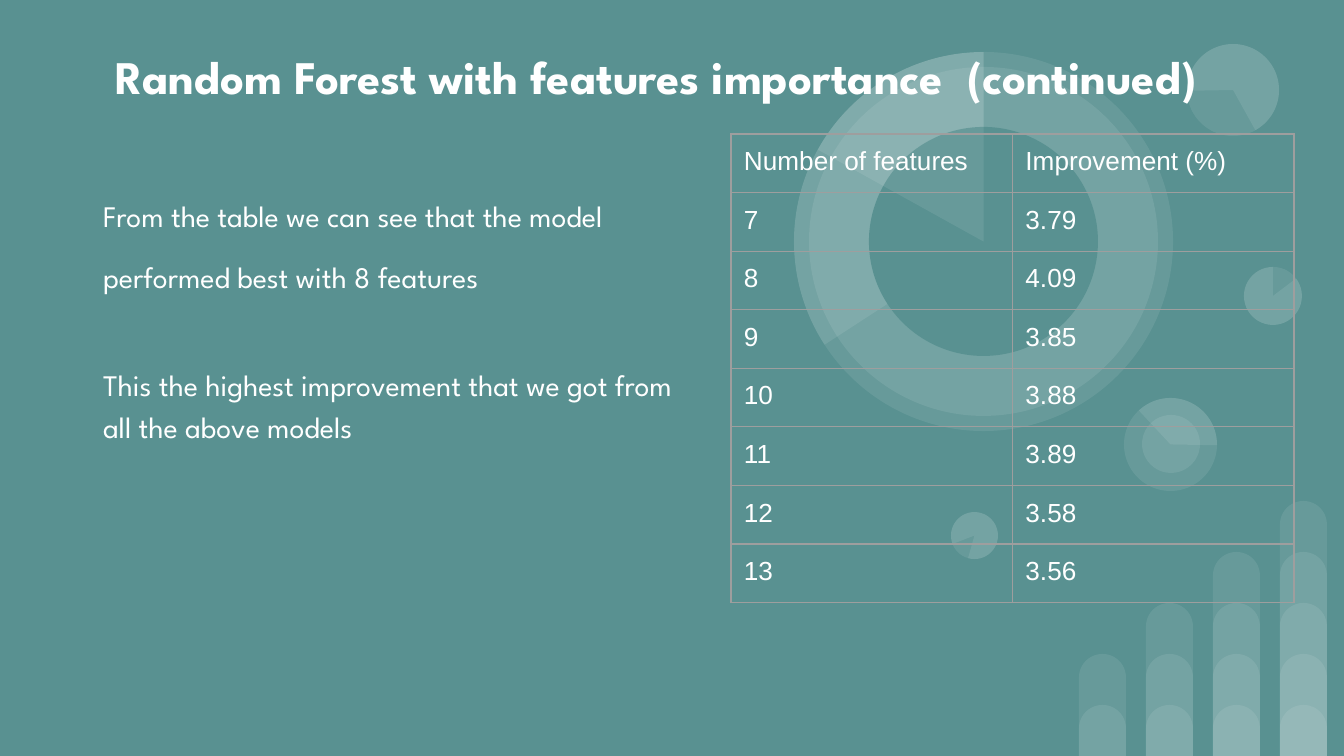
from lxml import etree
from pptx import Presentation
from pptx import util as u
from pptx.dml.color import RGBColor
from pptx.enum import shapes, text
from pptx.oxml import ns

PX = 914400 / 134.4
COLORS = {"background": "599191", "white": "FFFFFF", "border": "9E9E9E"}


def px(length):
    return u.Emu(round(length * PX))


def add_shape(kind, left, top, width, height, color="white", alpha=9):
    shape = slide.shapes.add_shape(kind, px(left), px(top), px(width), px(height))
    shape.shadow.inherit = False
    shape.line.fill.background()
    shape.fill.solid()
    shape.fill.fore_color.rgb = RGBColor.from_string(COLORS[color])
    if alpha < 100:
        fill_color = shape.element.spPr.find(ns.qn("a:solidFill"))[0]
        etree.SubElement(fill_color, ns.qn("a:alpha"), val=str(alpha * 1000))
    return shape


presentation = Presentation()
presentation.slide_width = px(1344)
presentation.slide_height = px(756)
slide = presentation.slides.add_slide(presentation.slide_layouts[0])
slide.background.fill.solid()
slide.background.fill.fore_color.rgb = RGBColor.from_string(COLORS["background"])

for column in range(4):
    for level in range(column + 2):
        top = 705 - 51 * level
        bar = add_shape(shapes.MSO_SHAPE.ROUND_2_SAME_RECTANGLE,
                        1079 + 67 * column, top, 47, 756 - top)
        bar.adjustments[0] = 0.5
        bar.adjustments[1] = 0

# left, top, diameter, rotation, pie start and end in degrees, colour, alpha
circles = [
    (1244, 267, 58, 0, None, "white", 9),
    (951, 512, 47, 196, None, "white", 9),
    (1124, 398, 93, 90, None, "white", 9),
    (1124, 398, 93, 90, (137, 271), "white", 9),
    (1142, 415, 58, 90, None, "white", 9),
    (1244, 267, 58, 0, (323, 270), "white", 9),
    (1187, 44, 92, 216, None, "white", 9),
    (1187, 44, 92, 216, (323, 205), "white", 9),
    (794, 52, 379, 0, None, "white", 9),
    (809, 67, 349, 34, None, "white", 9),
    (794, 52, 379, 0, (147, 270), "white", 9),
    (869, 127, 229, 34, None, "background", 100),
    (794, 52, 379, 0, (209, 270), "white", 9),
    (951, 512, 47, 196, (323, 270), "white", 9),
]
for left, top, size, rotation, angles, color, alpha in circles:
    kind = shapes.MSO_SHAPE.PIE if angles else shapes.MSO_SHAPE.OVAL
    circle = add_shape(kind, left, top, size, size, color, alpha)
    circle.rotation = rotation
    for index, angle in enumerate(angles or ()):
        circle.adjustments[index] = angle * 0.6

title, body = slide.placeholders
text_blocks = [
    (title, (102, 30, 1126, 84), text.MSO_ANCHOR.MIDDLE, 25, True,
     [("Random Forest with features importance  (continued)", 1.15, 0)]),
    (body, (90, 159, 625, 290), text.MSO_ANCHOR.TOP, 16, False,
     [("From the table we can see that the model performed best with 8 features", 1.71, 36),
      ("This the highest improvement that we got from all the above models", 1.15, 0)]),
]
for shape, (left, top, width, height), anchor, size, bold, paragraphs in text_blocks:
    slide.shapes.element.append(shape.element)
    shape.left, shape.top, shape.width, shape.height = px(left), px(top), px(width), px(height)
    frame = shape.text_frame
    frame.word_wrap = True
    frame.auto_size = text.MSO_AUTO_SIZE.NONE
    frame.vertical_anchor = anchor
    frame.margin_left = frame.margin_right = frame.margin_top = frame.margin_bottom = px(13)
    frame.text = "\n".join(line for line, spacing, after in paragraphs)
    for paragraph, (line, spacing, after) in zip(frame.paragraphs, paragraphs):
        paragraph.alignment = text.PP_ALIGN.LEFT
        paragraph.line_spacing = spacing
        paragraph.space_before = u.Pt(0)
        paragraph.space_after = u.Pt(after)
        paragraph.font.name = "League Spartan"
        paragraph.font.size = u.Pt(size)
        paragraph.font.bold = bold
        paragraph.font.color.rgb = RGBColor.from_string(COLORS["white"])

rows = [
    ("Number of features", "Improvement (%)"),
    ("7", "3.79"),
    ("8", "4.09"),
    ("9", "3.85"),
    ("10", "3.88"),
    ("11", "3.89"),
    ("12", "3.58"),
    ("13", "3.56"),
]
table = slide.shapes.add_table(len(rows), 2, px(731), px(134), px(563), px(469)).table
table.first_row = False
table.horz_banding = False
for row, values in enumerate(rows):
    for column, value in enumerate(values):
        cell = table.cell(row, column)
        cell.text = value
        cell.margin_left = cell.margin_right = cell.margin_top = cell.margin_bottom = px(13)
        properties = cell._tc.get_or_add_tcPr()
        for side in ("lnL", "lnR", "lnT", "lnB"):
            border = etree.SubElement(properties, ns.qn(f"a:{side}"), w=str(u.Pt(0.75)))
            border_fill = etree.SubElement(border, ns.qn("a:solidFill"))
            etree.SubElement(border_fill, ns.qn("a:srgbClr"), val=COLORS["border"])
        cell.fill.background()
        font = cell.text_frame.paragraphs[0].font
        font.name = "Arial"
        font.size = u.Pt(14)
        font.color.rgb = RGBColor.from_string(COLORS["white"])

presentation.save("out.pptx")
